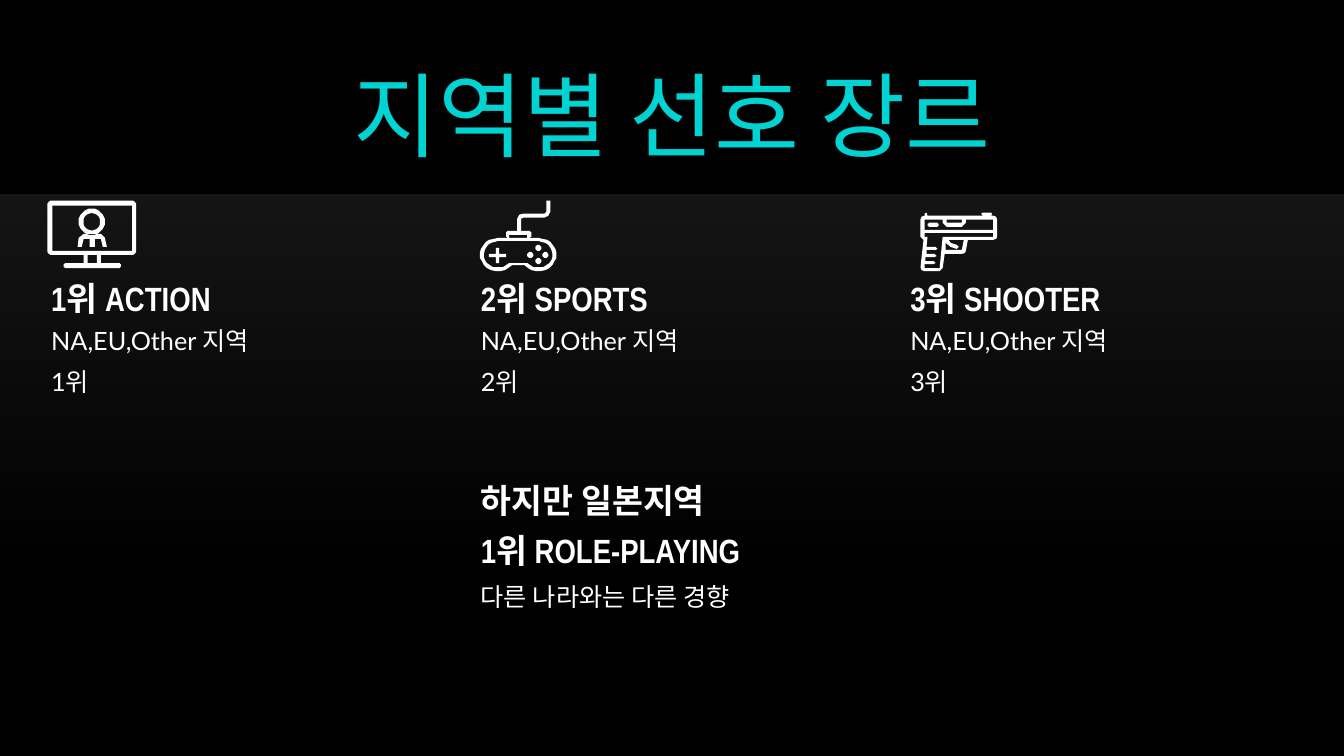
from math import cos, radians, sin

from lxml.etree import SubElement
from pptx import Presentation
from pptx.dml.color import RGBColor
from pptx.enum.shapes import MSO_SHAPE
from pptx.enum.text import MSO_ANCHOR, PP_ALIGN
from pptx.oxml.ns import qn
from pptx.util import Inches, Pt

WHITE, CYAN, BLACK = "FEFFFE", "00D3D2", "000000"
WIDTH, HEIGHT = 13.33, 7.5
MARGIN, COLUMN_STEP, COLUMN_WIDTH, ROW = 0.41, 4.26, 3.99, 0.81


def rgb(value):
    return RGBColor.from_string(value)


def arc(cx, cy, rx, ry, start, end, steps=16):
    """Points along an ellipse, in degrees clockwise from the right."""
    angles = [radians(start + (end - start) * i / steps) for i in range(steps + 1)]
    return [(cx + rx * cos(a), cy + ry * sin(a)) for a in angles]


def circle(cx, cy, r):
    return arc(cx, cy, r, r, 0, 360, 32)


def box(x, y, w, h, r=0):
    """Outline of a rectangle with optional rounded corners."""
    if not r:
        return [(x, y), (x + w, y), (x + w, y + h), (x, y + h)]
    corners = [(x + r, y + r, 180), (x + w - r, y + r, 270),
               (x + w - r, y + h - r, 0), (x + r, y + h - r, 90)]
    return [pt for cx, cy, a in corners for pt in arc(cx, cy, r, r, a, a + 90, 6)]


def pad_body(rx, ry):
    return (arc(18, 53.5, rx, ry, 270, 40) + arc(58, 53.5, rx, ry, 140, -90))


# Icon outlines in hundredths of an inch; nested outlines cut holes.
MONITOR = [
    box(0, 0, 88, 54, 4), box(5, 5, 79, 45),
    box(36, 54, 4, 8), box(49, 54, 4, 8), box(16, 62, 57, 5, 2),
    circle(44, 21, 13), circle(44, 21, 8.5),
    [(36, 33), (53, 33), (57, 37), (59, 46), (55, 46), (53, 38), (47, 38),
     (47, 46), (42, 46), (42, 38), (36, 38), (34, 46), (30, 46), (31, 37)],
]
GAMEPAD = [
    pad_body(18, 16.5), pad_body(14, 13),
    box(26, 30, 25, 7, 2), box(29, 34, 18, 3),
    [(66, 0), (70, 0), (70, 11), (68, 15), (64, 17), (43, 17), (41, 18), (41, 30),
     (37, 30), (37, 18), (39, 14), (43, 13), (64, 13), (66, 11)],
    [(16, 47), (19, 47), (19, 53), (26, 53), (26, 56), (19, 56), (19, 62),
     (16, 62), (16, 56), (9, 56), (9, 53), (16, 53)],
    circle(58, 60, 3), circle(65, 54, 3), circle(50, 54, 3), circle(58, 47, 3),
]
PISTOL = [
    [(0, 7), (1, 4), (4, 3), (4, 1), (6, 0), (7, 3), (62, 3), (60, 1), (62, 0),
     (70, 0), (71, 1), (70, 3), (72, 3), (75, 4), (76, 7), (76, 24), (75, 26),
     (72, 27), (47, 27), (45, 38), (44, 40), (41, 41), (24, 41), (22, 55),
     (19, 58), (4, 58), (1, 57), (0, 54), (3, 27), (0, 24)],
    [(4, 7), (22, 7), (22, 10), (26, 14), (41, 14), (45, 10), (45, 7),
     (72, 7), (72, 17), (4, 17)],
    box(26, 7, 15, 3), box(7, 10, 11, 4, 1.9),
    [(4, 20), (72, 20), (72, 24), (22, 24), (19, 55), (4, 55), (4, 51),
     (13, 51), (15, 49.5), (13, 48), (5, 48), (5, 44), (14, 44), (16, 43),
     (14, 41), (6, 41), (6, 37), (15, 37), (17, 36), (15, 34), (6, 34), (7, 24), (4, 24)],
    [(28, 27), (43, 27), (41, 37), (25, 37), (25, 30), (30, 34), (36, 36),
     (38, 34), (36, 32), (30, 30)],
]
GENRES = [  # heading, rank line, icon, icon inset from the column, icon top
    ("1위 ACTION", "1위", MONITOR, 0.06, 1.99),
    ("2위 SPORTS", "2위", GAMEPAD, 0.09, 1.99),
    ("3위 SHOOTER", "3위", PISTOL, 0.2, 2.11),
]


def add_icon(slide, x, y, outlines):
    scale = Inches(0.01)
    first, *rest = outlines
    builder = slide.shapes.build_freeform(*first[0], scale=scale)
    builder.add_line_segments(first[1:])
    for outline in rest:
        builder.move_to(*outline[0])
        builder.add_line_segments(outline[1:])
    sp = builder.convert_to_shape(Inches(x), Inches(y))
    sp.fill.solid()
    sp.fill.fore_color.rgb = rgb(WHITE)
    sp.line.fill.background()
    sp.shadow.inherit = False


def add_text(slide, x, y, w, h, lines, size, font, color=WHITE, bold=False,
             anchor=MSO_ANCHOR.TOP, align=PP_ALIGN.LEFT):
    tf = slide.shapes.add_textbox(Inches(x), Inches(y), Inches(w), Inches(h)).text_frame
    tf.word_wrap = True
    tf.vertical_anchor = anchor
    tf.text = "\n".join(lines)
    for i, p in enumerate(tf.paragraphs):
        p.alignment = align
        p.line_spacing = 0.9
        p.space_before = Pt(10 if i else 0)
        for r in p.runs:
            r.font.size, r.font.name, r.font.bold = Pt(size), font, bold
            r.font.color.rgb = rgb(color)


def add_glow(slide, y, h):
    """Full-width white band that fades out downwards."""
    sp = slide.shapes.add_shape(MSO_SHAPE.RECTANGLE, 0, Inches(y), Inches(WIDTH), Inches(h))
    sp.shadow.inherit = False
    sp.line.fill.background()
    sp.fill.gradient()
    sp.fill.gradient_angle = 90
    for stop, position, alpha in zip(sp.fill.gradient_stops, (0, 1), (0, 9000)):
        stop.position = position
        stop.color.rgb = rgb(WHITE)
        color = stop.color._xFill.find(qn("a:srgbClr"))
        SubElement(color, qn("a:alpha")).set("val", str(alpha))


def add_entry(slide, x, y, heading, body, gap=0):
    """Bold heading sitting on top of its body text."""
    add_text(slide, x, y, COLUMN_WIDTH, ROW, heading, 24, "Arial Narrow",
             bold=True, anchor=MSO_ANCHOR.BOTTOM)
    add_text(slide, x, y + ROW + gap, COLUMN_WIDTH, ROW, body, 18, "Lato")


def main():
    prs = Presentation()
    prs.slide_width, prs.slide_height = Inches(WIDTH), Inches(HEIGHT)
    slide = prs.slides.add_slide(prs.slide_layouts[6])
    slide.background.fill.solid()
    slide.background.fill.fore_color.rgb = rgb(BLACK)

    add_glow(slide, 1.93, 4.06)
    add_text(slide, MARGIN, 0.54, WIDTH - 2 * MARGIN, 1.31, ["지역별 선호 장르"], 66,
             "Arial Narrow", CYAN, anchor=MSO_ANCHOR.MIDDLE, align=PP_ALIGN.CENTER)
    for i, (heading, rank, icon, inset, top) in enumerate(GENRES):
        x = MARGIN + i * COLUMN_STEP
        add_entry(slide, x, 2.4, [heading], ["NA,EU,Other 지역", rank])
        add_icon(slide, x + inset, top, icon)
    add_entry(slide, MARGIN + COLUMN_STEP, 4.9, ["하지만 일본지역", "1위 ROLE-PLAYING"],
              ["다른 나라와는 다른 경향"], gap=0.04)
    prs.save("out.pptx")


if __name__ == "__main__":
    main()
